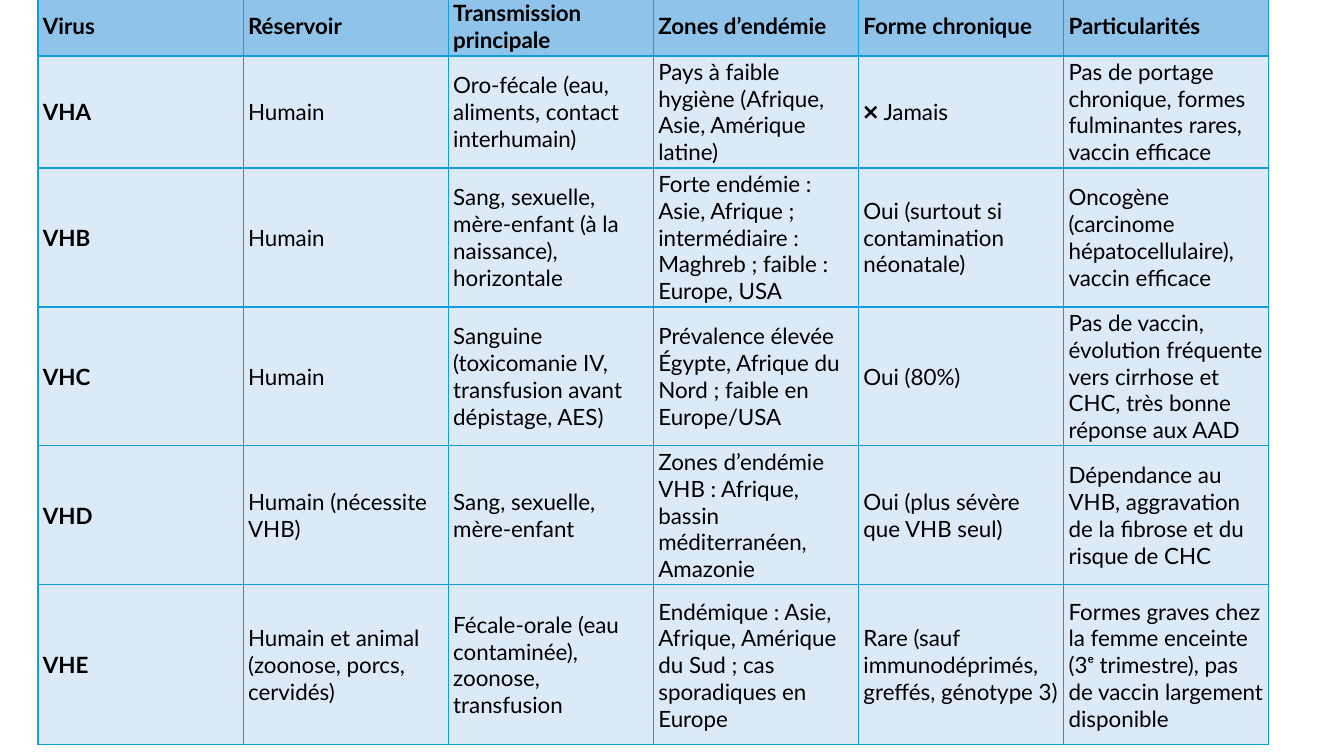
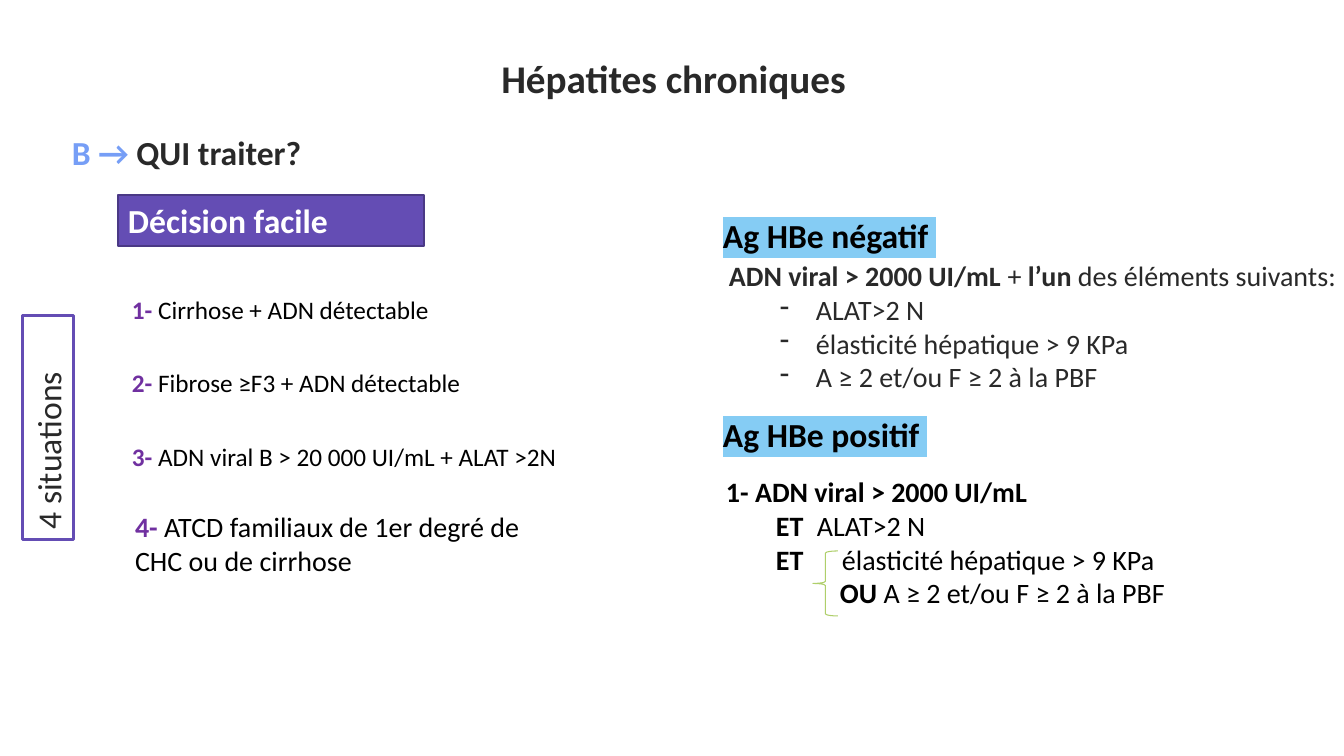
from dataclasses import dataclass
from lxml.etree import SubElement
from pptx import Presentation
from pptx.dml.color import RGBColor
from pptx.enum.shapes import MSO_SHAPE
from pptx.enum.text import MSO_ANCHOR, PP_ALIGN
from pptx.oxml.ns import qn
from pptx.util import Emu, Pt


@dataclass(frozen=True)
class Theme:
    ink: str = "292929"
    black: str = "000000"
    white: str = "FFFFFF"
    head: str = "90C3EA"
    cell: str = "DCEAF7"
    grid: str = "0F9ED5"
    mark: str = "85CCF4"
    sky: str = "769EF6"
    violet: str = "644DB4"
    edge: str = "4A3985"
    number: str = "7030A0"
    brace: str = "AFCF6A"
    text: str = "Calibri"
    table: str = "Lato"
    title: int = 28
    label: int = 24
    body: int = 20
    item: int = 18
    small: int = 16


T = Theme()
rgb = RGBColor.from_string


def px(n):
    return Emu(round(n * 914400 / 100.8))


def write(frame, size, paras, pad=(10, 5), font=T.text, mark=None):
    """Fill a frame; a paragraph is (left, indent, bullet, runs), a run (text, colour, bold)."""
    frame.word_wrap = True
    frame.margin_left = frame.margin_right = px(pad[0])
    frame.margin_top = frame.margin_bottom = px(pad[1])
    for i, (left, indent, bullet, runs) in enumerate(paras):
        para = frame.add_paragraph() if i else frame.paragraphs[0]
        para.alignment = PP_ALIGN.LEFT
        props = para._p.get_or_add_pPr()
        props.set("marL", str(px(left)))
        props.set("indent", str(px(indent)))
        if bullet:
            SubElement(props, qn("a:buChar")).set("char", bullet)
        for text, color, bold in runs:
            run = para.add_run()
            run.text = text
            run.font.name = font
            run.font.size = Pt(size)
            run.font.bold = bold
            run.font.color.rgb = rgb(color)
            if mark:
                light = run._r.rPr.makeelement(qn("a:highlight"))
                SubElement(light, qn("a:srgbClr")).set("val", mark)
                run._r.rPr.find(qn("a:solidFill")).addnext(light)


deck = Presentation()
deck.slide_width, deck.slide_height = px(1344), px(756)
blank = deck.slide_layouts[6]

# Slide 1: comparison of the viruses
slide = deck.slides.add_slide(blank)
rows = [
    ["Virus", "Réservoir", "Transmission principale", "Zones d’endémie",
     "Forme chronique", "Particularités"],
    ["VHA", "Humain", "Oro-fécale (eau, aliments, contact interhumain)",
     "Pays à faible hygiène (Afrique, Asie, Amérique latine)", "❌ Jamais",
     "Pas de portage chronique, formes fulminantes rares, vaccin efficace"],
    ["VHB", "Humain", "Sang, sexuelle, mère-enfant (à la naissance), horizontale",
     "Forte endémie : Asie, Afrique ; intermédiaire : Maghreb ; faible : Europe, USA",
     "Oui (surtout si contamination néonatale)",
     "Oncogène (carcinome hépatocellulaire), vaccin efficace"],
    ["VHC", "Humain", "Sanguine (toxicomanie IV, transfusion avant dépistage, AES)",
     "Prévalence élevée Égypte, Afrique du Nord ; faible en Europe/USA", "Oui (80%)",
     "Pas de vaccin, évolution fréquente vers cirrhose et CHC, très bonne réponse aux AAD"],
    ["VHD", "Humain (nécessite VHB)", "Sang, sexuelle, mère-enfant",
     "Zones d’endémie VHB : Afrique, bassin méditerranéen, Amazonie",
     "Oui (plus sévère que VHB seul)",
     "Dépendance au VHB, aggravation de la fibrose et du risque de CHC"],
    ["VHE", "Humain et animal (zoonose, porcs, cervidés)",
     "Fécale-orale (eau contaminée), zoonose, transfusion",
     "Endémique : Asie, Afrique, Amérique du Sud ; cas sporadiques en Europe",
     "Rare (sauf immunodéprimés, greffés, génotype 3)",
     "Formes graves chez la femme enceinte (3ᵉ trimestre), pas de vaccin largement disponible"],
]
heights = [60, 112, 139, 139, 139, 160]
grid = slide.shapes.add_table(
    len(rows), len(rows[0]), px(38), px(-4), px(1231), px(sum(heights))).table
for r, (row, height) in enumerate(zip(rows, heights)):
    grid.rows[r].height = px(height)
    for c, text in enumerate(row):
        cell = grid.cell(r, c)
        bold = r == 0 or c == 0
        write(cell.text_frame, T.small, [(0, 0, None, [(text, T.black, bold)])], font=T.table)
        cell.margin_left = cell.margin_right = px(5)
        cell.margin_top = cell.margin_bottom = px(2)
        cell.vertical_anchor = MSO_ANCHOR.MIDDLE
        props = cell._tc.get_or_add_tcPr()
        for side in ("lnL", "lnR", "lnT", "lnB"):
            line = SubElement(props, qn("a:" + side), w=str(Pt(1)))
            SubElement(SubElement(line, qn("a:solidFill")), qn("a:srgbClr")).set("val", T.grid)
        cell.fill.solid()
        cell.fill.fore_color.rgb = rgb(T.cell if r else T.head)

# Slide 2: who to treat
slide = deck.slides.add_slide(blank)
shapes = slide.shapes

title = shapes.add_textbox(px(248), px(62), px(851), px(32)).text_frame
write(title, T.title, [(0, 0, None, [("Hépatites chroniques", T.ink, True)])], (10, 10))
title.vertical_anchor = MSO_ANCHOR.MIDDLE
title.paragraphs[0].alignment = PP_ALIGN.CENTER

ask = shapes.add_textbox(px(48), px(127), px(506), px(50)).text_frame
write(ask, T.label, [(14, 0, None, [("B → ", T.sky, True), ("QUI traiter?", T.ink, True)])])

for text, top in (("Ag HBe négatif ", 210), ("Ag HBe positif ", 409)):
    box = shapes.add_textbox(px(713), px(top), px(302), px(50)).text_frame
    write(box, T.label, [(0, 0, None, [(text, T.black, True)])], mark=T.mark)

signs = ["ALAT>2 N", "élasticité hépatique > 9 KPa", "A ≥ 2 et/ou F ≥ 2 à la PBF"]
lead = [("ADN viral > 2000 UI/mL ", T.ink, True), ("+ ", T.ink, False),
        ("l’un", T.ink, True), (" des éléments suivants:", T.ink, False)]
box = shapes.add_textbox(px(705), px(249), px(781), px(162)).text_frame
write(box, T.body, [(14, 0, None, lead)]
      + [(101, -36, "-", [(sign, T.ink, False)]) for sign in signs], (10, 10))

box = shapes.add_textbox(px(702), px(465), px(494), px(162)).text_frame
write(box, T.body, [
    (14, 0, None, [("1- ADN viral > 2000 UI/mL", T.black, True)]),
    (105, -41, None, [("ET\t", T.black, True), (signs[0], T.black, False)]),
    (130, -66, None, [("ET\t", T.black, True), (signs[1], T.black, False)]),
    (128, 0, None, [("OU ", T.black, True), (signs[2], T.black, False)]),
], (10, 10))

brace = shapes.add_shape(MSO_SHAPE.LEFT_BRACE, px(813), px(551), px(25), px(65))
brace.shadow.inherit = False
brace.fill.background()
brace.line.color.rgb = rgb(T.brace)
brace.line.width = Pt(0.75)

cases = [
    (122, 289, T.item, ["Cirrhose + ADN détectable"]),
    (122, 362, T.item, ["Fibrose ≥F3 + ADN détectable"]),
    (122, 436, T.item, ["ADN viral B > 20 000 UI/mL + ALAT >2N"]),
    (125, 505, T.body, ["ATCD familiaux de 1er degré de", "CHC ou de cirrhose"]),
]
for n, (left, top, size, (first, *rest)) in enumerate(cases, 1):
    box = shapes.add_textbox(px(left), px(top), px(600), px(72)).text_frame
    start = [(f"{n}- ", T.number, True), (first, T.black, False)]
    write(box, size, [(0, 0, None, start)]
          + [(0, 0, None, [(text, T.black, False)]) for text in rest])

tags = [
    ("Décision facile", 118, 195, 306, 0, T.violet, T.edge, T.white, True),
    ("4 situations", -64, 402, 224, 270, T.white, T.violet, T.ink, False),
]
for text, left, top, width, turn, fill, edge, ink, bold in tags:
    tag = shapes.add_shape(MSO_SHAPE.RECTANGLE, px(left), px(top), px(width), px(51))
    tag.rotation = turn
    tag.shadow.inherit = False
    tag.fill.solid()
    tag.fill.fore_color.rgb = rgb(fill)
    tag.line.color.rgb = rgb(edge)
    tag.line.width = Pt(2)
    write(tag.text_frame, T.label, [(0, 0, None, [(text, ink, bold)])])

deck.save("out.pptx")
